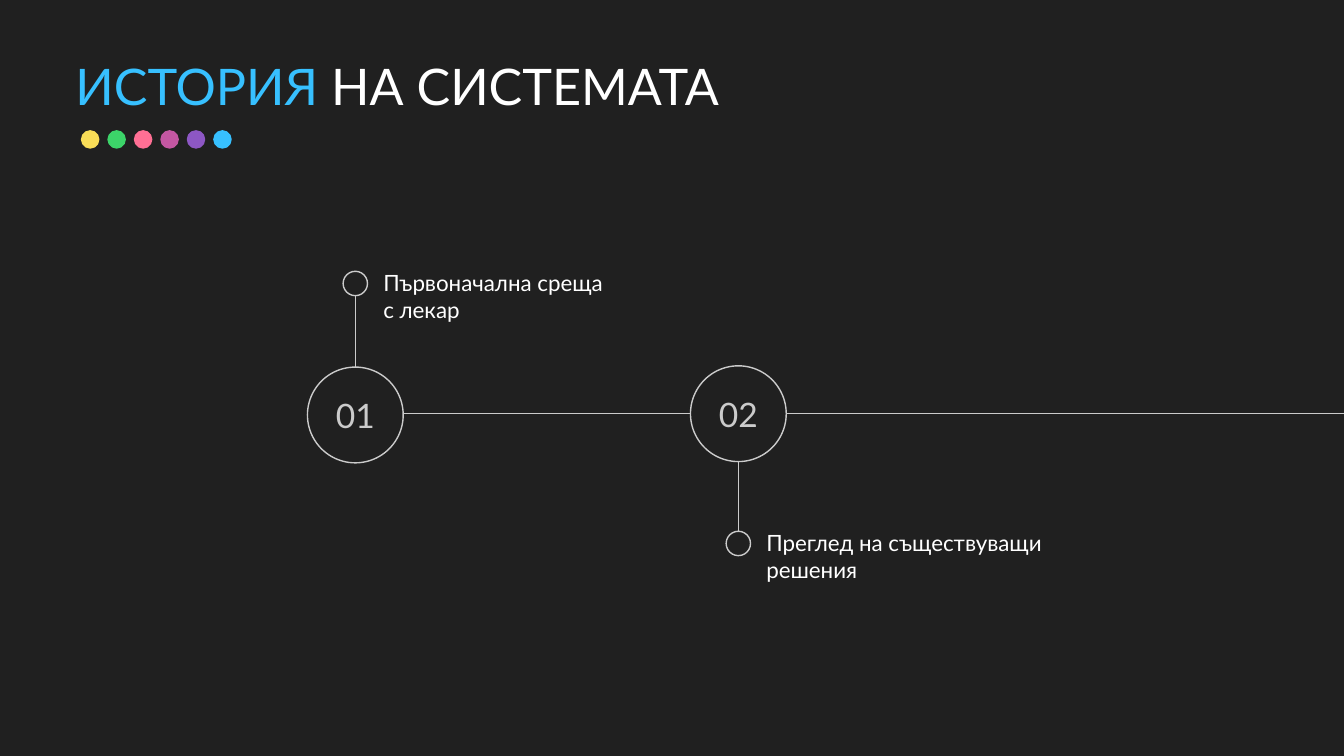
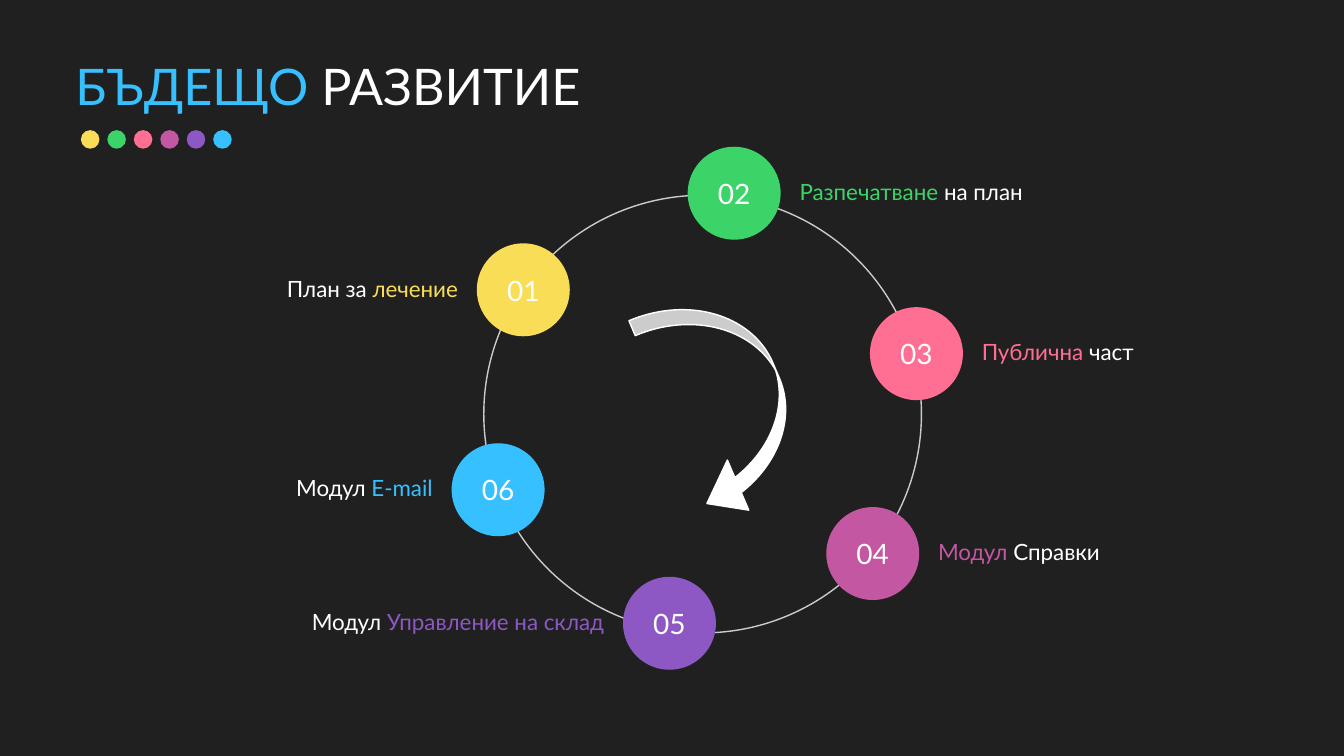
from dataclasses import dataclass

from lxml.etree import SubElement
from pptx import Presentation
from pptx.dml.color import RGBColor
from pptx.enum.shapes import MSO_CONNECTOR, MSO_SHAPE
from pptx.enum.text import MSO_ANCHOR, MSO_AUTO_SIZE, PP_ALIGN
from pptx.oxml.ns import qn
from pptx.shapes.autoshape import Shape
from pptx.slide import Slide
from pptx.text.text import TextFrame
from pptx.util import Inches, Length, Pt

# The slide is a grid of square cells, twelve to the inch.
COLUMNS, ROWS = 160, 90
CELL = Inches(1) / 12

FONT = "Lato"
BACKGROUND = RGBColor(0x20, 0x20, 0x20)
WHITE = RGBColor(0xFF, 0xFF, 0xFF)
GRAY = RGBColor(0xCB, 0xCB, 0xCB)
YELLOW = RGBColor(0xF9, 0xDD, 0x57)
GREEN = RGBColor(0x3C, 0xD4, 0x69)
PINK = RGBColor(0xFF, 0x6F, 0x94)
MAGENTA = RGBColor(0xC4, 0x57, 0xA2)
PURPLE = RGBColor(0x8D, 0x57, 0xC4)
BLUE = RGBColor(0x37, 0xC0, 0xFF)
PALETTE = (YELLOW, GREEN, PINK, MAGENTA, PURPLE, BLUE)

DOT_SIZE, DOT_PITCH = 2.04, 3.15
AXIS_ROW = 49.2
DISC_SIZE, PIN_SIZE = 11.4, 2.9
WHEEL_COLUMN, WHEEL_ROW, WHEEL_SIZE = 83.65, 49.3, 52.1
NODE_SIZE, LABEL_REACH, LABEL_RISE = 10.9, 6.6, 2.4


@dataclass(frozen=True)
class Words:
    text: str
    color: RGBColor = WHITE


@dataclass(frozen=True)
class Event:
    number: str
    column: float
    disc_row: float
    pin_row: float
    lines: tuple[str, ...]
    text_width: float


@dataclass(frozen=True)
class Module:
    """A numbered node of the wheel with its label on one side."""
    number: str
    column: float
    row: float
    color: RGBColor
    label: tuple[Words, ...]
    label_width: float
    label_on_left: bool = False


EVENTS = (
    Event("01", 42.3, 49.4, 33.75, ("Първоначална среща", "с лекар"), 44.9),
    Event("02", 87.9, 49.25, 64.7, ("Преглед на съществуващи", "решения"), 57.7),
)

MODULES = (
    Module("01", 62.3, 34.5, YELLOW,
           (Words("План за "), Words("лечение", YELLOW)), 31.7, True),
    Module("02", 87.4, 23, GREEN,
           (Words("Разпечатване", GREEN), Words(" на план")), 35.6),
    Module("03", 109.1, 42.1, PINK,
           (Words("Публична", PINK), Words(" част")), 31.7),
    Module("04", 103.9, 65.9, MAGENTA,
           (Words("Модул", MAGENTA), Words(" Справки")), 31.7),
    Module("05", 79.7, 74.2, PURPLE,
           (Words("Модул "), Words("Управление на склад", PURPLE)), 47.6, True),
    Module("06", 59.3, 58.3, BLUE,
           (Words("Модул "), Words("E-mail", BLUE)), 26.6, True),
)


def cells(count: float) -> Length:
    return Length(round(count * CELL))


def write(frame: TextFrame, lines: list[tuple[Words, ...]], size: float,
          alignment: PP_ALIGN) -> None:
    """Fill the frame with one paragraph per line."""
    for index, line in enumerate(lines):
        paragraph = frame.add_paragraph() if index else frame.paragraphs[0]
        paragraph.alignment = alignment
        paragraph.font.name = FONT
        paragraph.font.size = Pt(size)
        colors = {words.color for words in line}
        if len(colors) == 1:
            paragraph.font.color.rgb = line[0].color
        for words in line:
            run = paragraph.add_run()
            run.text = words.text
            if len(colors) > 1:
                run.font.color.rgb = words.color


def add_text(slide: Slide, left: float, top: float, width: float, height: float,
             lines: list[tuple[Words, ...]], size: float,
             alignment: PP_ALIGN = PP_ALIGN.LEFT) -> None:
    box = slide.shapes.add_textbox(cells(left), cells(top), cells(width), cells(height))
    box.text_frame.word_wrap = True
    box.text_frame.auto_size = MSO_AUTO_SIZE.SHAPE_TO_FIT_TEXT
    write(box.text_frame, lines, size, alignment)


def paint(shape: Shape, line: RGBColor, fill: RGBColor | None = None) -> None:
    shape.shadow.inherit = False
    shape.line.color.rgb = line
    shape.line.width = Pt(1)
    if fill is None:
        shape.fill.background()
    else:
        shape.fill.solid()
        shape.fill.fore_color.rgb = fill


def add_circle(slide: Slide, column: float, row: float, size: float, line: RGBColor,
               fill: RGBColor | None = None, kind: MSO_SHAPE = MSO_SHAPE.OVAL) -> Shape:
    """Draw a circle around the given centre."""
    circle = slide.shapes.add_shape(kind, cells(column - size / 2), cells(row - size / 2),
                                    cells(size), cells(size))
    paint(circle, line, fill)
    return circle


def add_number(circle: Shape, number: Words, size: float) -> None:
    circle.text_frame.vertical_anchor = MSO_ANCHOR.MIDDLE
    write(circle.text_frame, [(number,)], size, PP_ALIGN.CENTER)


def add_line(slide: Slide, start: tuple[float, float], end: tuple[float, float]) -> None:
    line = slide.shapes.add_connector(MSO_CONNECTOR.STRAIGHT,
                                      *(cells(value) for value in (*start, *end)))
    line.line.color.rgb = GRAY
    line.line.width = Pt(0.5)
    SubElement(line._element.spPr, qn("a:effectLst"))


def add_titled_slide(presentation: Presentation, accent: str, rest: str) -> Slide:
    """Add a dark slide with a two-colour title above a row of dots."""
    slide = presentation.slides.add_slide(presentation.slide_layouts[6])
    slide.background.fill.solid()
    slide.background.fill.fore_color.rgb = BACKGROUND
    add_text(slide, 7.8, 6, 138, 8.5, [(Words(accent, BLUE), Words(rest))], 36)
    for index, color in enumerate(PALETTE):
        add_circle(slide, 10.74 + index * DOT_PITCH, 16.6, DOT_SIZE, color, color,
                   MSO_SHAPE.FLOWCHART_CONNECTOR)
    return slide


def add_event(slide: Slide, event: Event) -> None:
    disc = add_circle(slide, event.column, event.disc_row, DISC_SIZE, GRAY,
                      kind=MSO_SHAPE.FLOWCHART_CONNECTOR)
    add_number(disc, Words(event.number, GRAY), 24)
    add_circle(slide, event.column, event.pin_row, PIN_SIZE, GRAY)
    direction = 1 if event.pin_row > event.disc_row else -1
    add_line(slide, (event.column, event.pin_row - direction * PIN_SIZE / 2),
             (event.column, event.disc_row + direction * DISC_SIZE / 2))
    add_text(slide, event.column + 2.15, event.pin_row - 2.3, event.text_width, 7.7,
             [(Words(line),) for line in event.lines], 16)


def add_module(slide: Slide, module: Module) -> None:
    node = add_circle(slide, module.column, module.row, NODE_SIZE, module.color, module.color)
    add_number(node, Words(module.number), 20)
    if module.label_on_left:
        left = module.column - LABEL_REACH - module.label_width
        alignment = PP_ALIGN.RIGHT
    else:
        left = module.column + LABEL_REACH
        alignment = PP_ALIGN.LEFT
    add_text(slide, left, module.row - LABEL_RISE, module.label_width, 4.4,
             [module.label], 16, alignment)


def build_history(presentation: Presentation) -> None:
    slide = add_titled_slide(presentation, "ИСТОРИЯ ", "НА СИСТЕМАТА")
    ends = [event.column - DISC_SIZE / 2 for event in EVENTS[1:]] + [COLUMNS]
    for event, end in zip(EVENTS, ends):
        add_line(slide, (event.column + DISC_SIZE / 2, AXIS_ROW), (end, AXIS_ROW))
        add_event(slide, event)


def build_future(presentation: Presentation) -> None:
    slide = add_titled_slide(presentation, "БЪДЕЩО", " РАЗВИТИЕ")
    add_circle(slide, WHEEL_COLUMN, WHEEL_ROW, WHEEL_SIZE, GRAY,
               kind=MSO_SHAPE.FLOWCHART_CONNECTOR)
    for module in MODULES:
        add_module(slide, module)
    arrow = slide.shapes.add_shape(MSO_SHAPE.CURVED_LEFT_ARROW, cells(79.6), cells(34.4),
                                   cells(13.8), cells(26.9))
    paint(arrow, WHITE, WHITE)
    arrow.rotation = 336.9
    for index, value in enumerate((0.14, 0.47, 0.31)):
        arrow.adjustments[index] = value


def main() -> None:
    presentation = Presentation()
    presentation.slide_width = cells(COLUMNS)
    presentation.slide_height = cells(ROWS)
    build_history(presentation)
    build_future(presentation)
    presentation.save("out.pptx")


if __name__ == "__main__":
    main()
